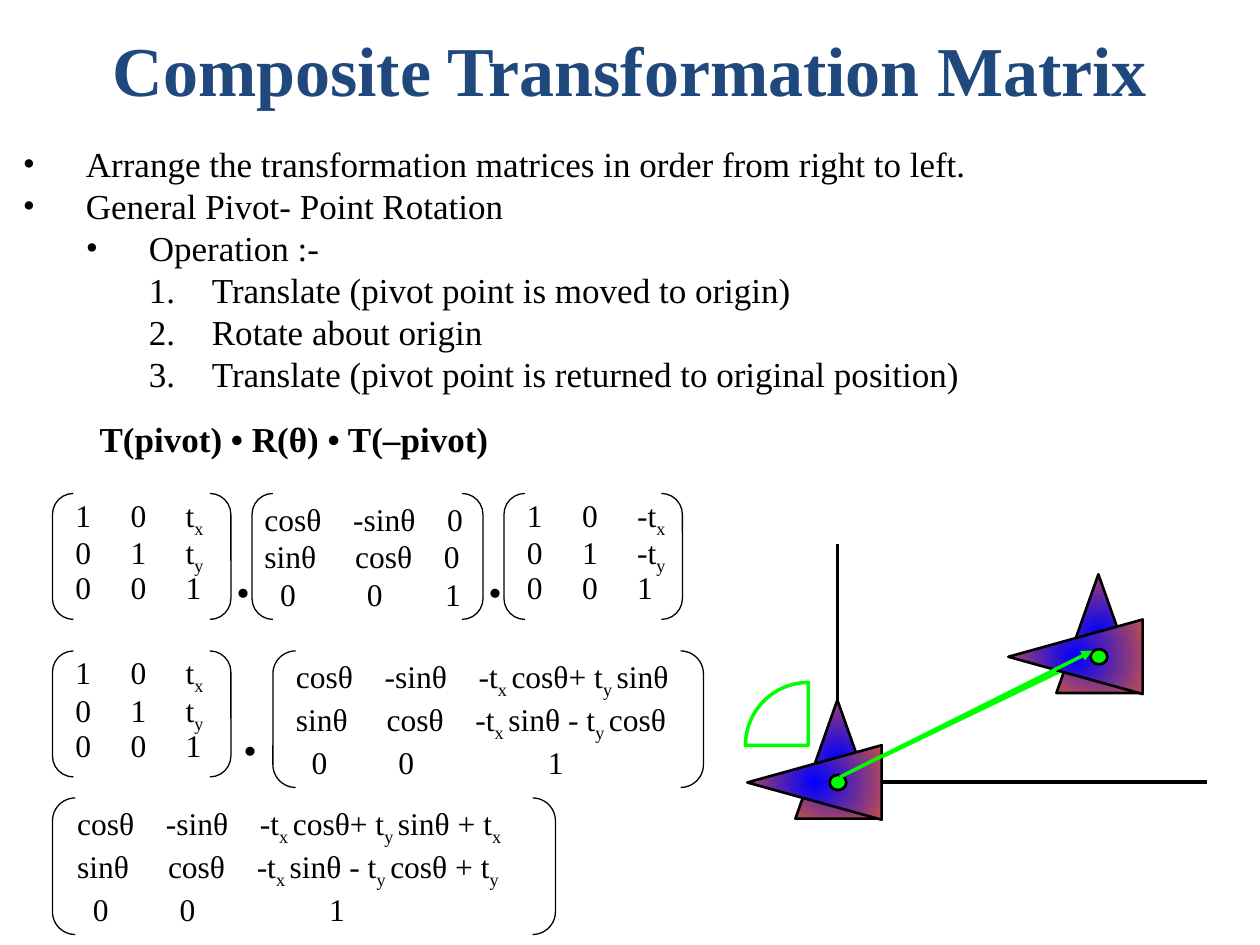
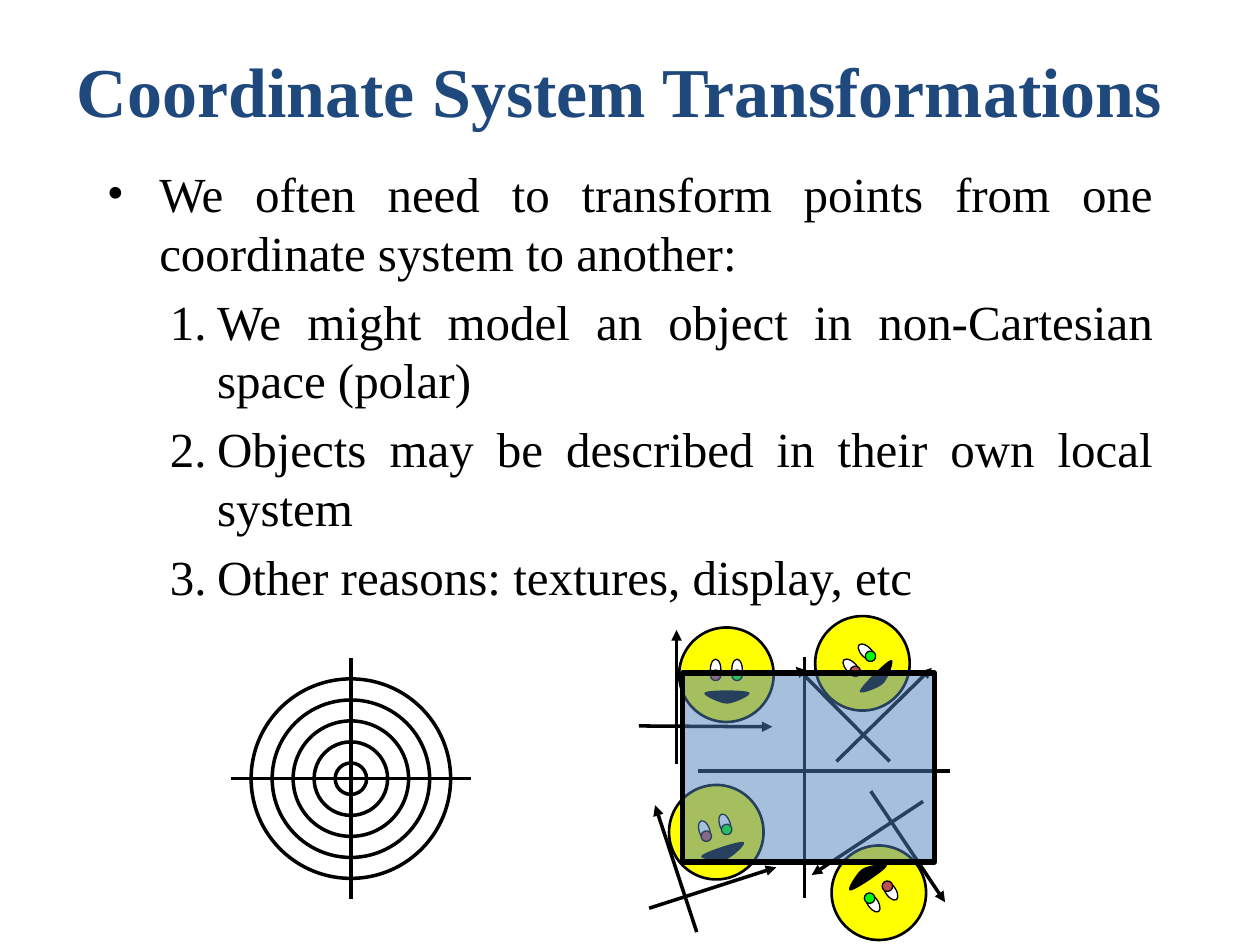
from dataclasses import dataclass
from math import cos, radians, sin
from typing import Iterable, NamedTuple, Optional

from lxml.etree import SubElement
from pptx import Presentation
from pptx.dml.color import RGBColor
from pptx.enum.shapes import MSO_CONNECTOR as Connector, MSO_SHAPE as Preset
from pptx.enum.text import MSO_ANCHOR as Anchor, PP_ALIGN as Align
from pptx.oxml import parse_xml
from pptx.oxml.ns import nsdecls, qn
from pptx.util import Emu, Pt

# The slide is a grid of 120 columns by 90 rows; every length counts cells.
COLUMNS, ROWS, CELL = 120, 90, 76200
FONT = "Times New Roman"
BLACK, WHITE, NAVY, BLUE = "000000", "FFFFFF", "1F497D", "4F81BD"
PURE_BLUE, RED, GREEN, YELLOW = "0000FF", "C0504D", "00FF00", "FFFF00"


class Point(NamedTuple):
    x: float
    y: float

    def turned(self, offset: "Point", degrees: float) -> "Point":
        """Return the point at an offset from this one, turned around it."""
        c, s = cos(radians(degrees)), sin(radians(degrees))
        return Point(self.x + offset.x * c - offset.y * s,
                     self.y + offset.x * s + offset.y * c)


class Box(NamedTuple):
    left: float
    top: float
    width: float
    height: float

    @classmethod
    def around(cls, center: Point, width: float, height: float) -> "Box":
        return cls(center.x - width / 2, center.y - height / 2, width, height)


@dataclass(frozen=True)
class BodyLine:
    text: str
    level: int
    margin: float
    hang: float
    numbered: bool = False


@dataclass(frozen=True)
class Matrix:
    bracket: Box
    inset: Point
    rows: tuple
    stops: tuple
    tight: bool = False


@dataclass(frozen=True)
class PivotTriangle:
    width: float
    height: float
    offset: Point
    rotation: float


@dataclass(frozen=True)
class Face:
    center: Point
    rotation: float


class FacePart(NamedTuple):
    offset: Point
    width: float
    height: float
    color: str
    line_width: float = 0.75


def cells(count: float) -> Emu:
    return Emu(round(count * CELL))


def rgb(color: str) -> RGBColor:
    return RGBColor.from_string(color)


def style(shape, fill: Optional[str], line: str, width: float, rotation: float = 0):
    shape.shadow.inherit = False
    shape.rotation = rotation
    if fill:
        shape.fill.solid()
        shape.fill.fore_color.rgb = rgb(fill)
    else:
        shape.fill.background()
    shape.line.color.rgb = rgb(line)
    shape.line.width = Pt(width)
    return shape


def add_preset(slide, preset, box: Box, fill: Optional[str] = None, line: str = BLACK,
               width: float = 2, rotation: float = 0):
    shape = slide.shapes.add_shape(preset, *map(cells, box))
    return style(shape, fill, line, width, rotation)


def add_line(slide, start: Point, end: Point, color: str = BLACK, arrow: bool = False):
    line = slide.shapes.add_connector(Connector.STRAIGHT, *map(cells, (*start, *end)))
    line.line.color.rgb = rgb(color)
    line.line.width = Pt(2)
    if arrow:
        SubElement(line.line._get_or_add_ln(), qn("a:tailEnd"), type="triangle")
    SubElement(line._element.spPr, qn("a:effectLst"))


def add_frame(slide, box: Box, wrap: bool = True):
    frame = slide.shapes.add_textbox(*map(cells, box)).text_frame
    frame.word_wrap = wrap
    return frame


def next_paragraph(frame, index: int):
    return frame.add_paragraph() if index else frame.paragraphs[0]


def set_font(paragraph, size: float, color: str = BLACK, bold: bool = False):
    font = paragraph.font
    font.name, font.size, font.bold = FONT, Pt(size), bold
    font.color.rgb = rgb(color)


def add_text(slide, box: Box, text: str, size: float, color: str = BLACK, wrap: bool = True):
    """Add one bold paragraph and return its frame."""
    frame = add_frame(slide, box, wrap)
    paragraph = frame.paragraphs[0]
    paragraph.add_run().text = text
    set_font(paragraph, size, color, bold=True)
    return frame


def add_title(slide, box: Box, text: str):
    frame = add_text(slide, box, text, 40, NAVY)
    frame.vertical_anchor = Anchor.MIDDLE
    frame.paragraphs[0].alignment = Align.CENTER


def add_body(slide, box: Box, lines: Iterable[BodyLine], size: float,
             alignment=Align.LEFT, gap: float = 0):
    frame = add_frame(slide, box)
    for index, line in enumerate(lines):
        paragraph = next_paragraph(frame, index)
        paragraph.add_run().text = line.text
        paragraph.level = line.level
        paragraph.alignment = alignment
        properties = paragraph._p.get_or_add_pPr()
        properties.set("marL", str(cells(line.margin)))
        properties.set("indent", str(cells(-line.hang)))
        if line.numbered:
            SubElement(properties, qn("a:buAutoNum"), type="arabicPeriod")
        else:
            SubElement(properties, qn("a:buFont"), typeface=FONT)
            SubElement(properties, qn("a:buChar"), char="•")
        if index and gap:
            paragraph.space_before = Pt(gap)
        set_font(paragraph, size)


def add_matrix(slide, matrix: Matrix):
    """Draw brackets and rows; text between bars is subscript."""
    box = matrix.bracket
    add_preset(slide, Preset.DOUBLE_BRACKET, box, width=0.75)
    frame = add_frame(slide, Box(box.left + matrix.inset.x, box.top + matrix.inset.y,
                                 box.width - matrix.inset.x, 12 - 2 * matrix.inset.y), wrap=False)
    for index, (row, stops) in enumerate(zip(matrix.rows, matrix.stops)):
        paragraph = next_paragraph(frame, index)
        for position, piece in enumerate(row.split("|")):
            if piece:
                run = paragraph.add_run()
                run.text = piece
                if position % 2:
                    run.font._element.set("baseline", "-25000")
        tabs = SubElement(paragraph._p.get_or_add_pPr(), qn("a:tabLst"))
        for stop in stops:
            SubElement(tabs, qn("a:tab"), pos=str(cells(stop)), algn="l")
        if matrix.tight:
            paragraph.line_spacing = 0.5
            if index:
                paragraph.space_before = Pt(9)
        set_font(paragraph, 18)


def translation(left: float, top: float, sign: str = "") -> Matrix:
    rows = (f"1\t0\t{sign}t|x|", f"0\t1\t{sign}t|y|", "0\t0\t1")
    return Matrix(Box(left, top, 17, 12), Point(1, 1), rows, ((5.25, 10.5),) * 3, tight=True)


def rotation(bracket: Box, inset: Point, last_column: tuple, unit_stop: float) -> Matrix:
    first, second = last_column
    rows = (f"cosθ\t-sinθ\t{first}", f"sinθ\tcosθ\t{second}", "\t0\t0\t1")
    return Matrix(bracket, inset, rows, ((8.45, 17.4), (8.65, 17.1), (1.5, 9.75, unit_stop)))


def add_pivot_triangle(slide, pivot: Point, triangle: PivotTriangle):
    center = Point(pivot.x + triangle.offset.x, pivot.y + triangle.offset.y)
    shape = add_preset(slide, Preset.ISOSCELES_TRIANGLE,
                       Box.around(center, triangle.width, triangle.height),
                       fill=PURE_BLUE, width=1.5, rotation=triangle.rotation)
    solid = shape._element.spPr.find(qn("a:solidFill"))
    solid.getparent().replace(solid, parse_xml(
        f'<a:gradFill {nsdecls("a")} rotWithShape="1"><a:gsLst>'
        f'<a:gs pos="0"><a:srgbClr val="{PURE_BLUE}"/></a:gs>'
        f'<a:gs pos="100000"><a:srgbClr val="{RED}"/></a:gs></a:gsLst><a:path path="circle">'
        '<a:fillToRect l="50000" t="50000" r="50000" b="50000"/></a:path></a:gradFill>'))
    add_preset(slide, Preset.OVAL, Box.around(pivot, 1.6, 1.45), GREEN, width=1.5)


# Start of the mouth outline, then three points for each of its curves.
MOUTH = ((-2, 1.74), (-2.3, 1.86), (-0.6, 2.7), (0.06, 2.7), (0.72, 2.7), (2.42, 1.86),
         (2.12, 1.74), (1.76, 1.5), (-1.64, 1.5), (-2, 1.74))
MOUTH_CENTER = Point(0.06, 2.1)
EYES = (FacePart(Point(-1.02, -0.48), 1, 2, WHITE), FacePart(Point(1.02, -0.48), 1, 2, WHITE),
        FacePart(Point(-1.02, 0.06), 1, 1, RED), FacePart(Point(1.02, 0.06), 1, 1, GREEN))
HEAD = FacePart(Point(0, 0), 9, 9, YELLOW, 1.5)
FACE_AXES = ((Point(-4.74, 8.46), Point(-4.74, -4.26)), (Point(-8.34, 4.88), Point(4.38, 4.96)))
FACES = (Face(Point(82.14, 63.18), 315.2), Face(Point(68.22, 79.26), 341.8),
         Face(Point(83.7, 85.02), 146.2), Face(Point(69.18, 64.26), 0))


def add_mouth(slide, center: Point, degrees: float):
    start, *others = [(cells(center.x + x - MOUTH_CENTER.x), cells(center.y + y - MOUTH_CENTER.y))
                      for x, y in MOUTH]
    builder = slide.shapes.build_freeform(*start)
    builder.add_line_segments(others, close=True)
    shape = style(builder.convert_to_shape(), BLACK, BLACK, 0.75, degrees)
    outline = shape._element.spPr.find(".//" + qn("a:path"))
    segments = outline.findall(qn("a:lnTo"))
    for first, *controls in zip(segments[::3], segments[1::3], segments[2::3]):
        first.tag = qn("a:cubicBezTo")
        for control in controls:
            first.append(control[0])
            outline.remove(control)


def add_face(slide, face: Face):
    """Draw a face with its local axes, all turned together."""
    def local(offset: Point) -> Point:
        return face.center.turned(offset, face.rotation)

    def add_part(part: FacePart):
        add_preset(slide, Preset.OVAL, Box.around(local(part.offset), part.width, part.height),
                   part.color, width=part.line_width, rotation=face.rotation)

    for start, end in FACE_AXES:
        add_line(slide, local(start), local(end), arrow=True)
    add_part(HEAD)
    add_mouth(slide, local(MOUTH_CENTER), face.rotation)
    for part in EYES:
        add_part(part)


def build_matrix_slide(slide):
    add_title(slide, Box(9, -1, 102, 15), "Composite Transformation Matrix")
    steps = ("Translate (pivot point is moved to origin)", "Rotate about origin",
             "Translate (pivot point is returned to original position)")
    add_body(slide, Box(1, 13, 113, 25.4), [
        BodyLine("Arrange the transformation matrices in order from right to left.", 0, 6, 6),
        BodyLine("General Pivot- Point Rotation", 0, 6, 6),
        BodyLine("Operation :-", 1, 12, 6),
        *(BodyLine(step, 2, 18, 6, numbered=True) for step in steps)], 20)
    add_text(slide, Box(8.3, 39.17, 65.9, 5.2), "T(pivot) • R(θ) • T(–pivot)", 20)

    composite = ("-t|x |cosθ+ t|y |sinθ", "-t|x |sinθ - t|y |cosθ")
    moved_back = (f"{composite[0]} + t|x|", f"{composite[1]} + t|y|")
    for matrix in (translation(48, 47, "-"),
                   rotation(Box(24, 47, 22, 12), Point(0, 0), ("0", "0"), 17.2),
                   translation(5, 47),
                   rotation(Box(5, 76, 47.9, 13), Point(1.17, 0), moved_back, 24),
                   rotation(Box(26, 62, 41, 13), Point(1, 0), composite, 24),
                   translation(5, 62)):
        add_matrix(slide, matrix)
    for left, top in ((21.3, 51), (45.3, 51), (22, 66)):
        add_text(slide, Box(left, top, 4.7, 7.6), ".", 32, wrap=False)

    origin, target = Point(79.8, 74.52), Point(104.66, 62.55)
    add_line(slide, Point(79.75, 51.84), Point(79.75, 74.5))
    add_line(slide, Point(79.75, 74.5), Point(115, 74.5))
    upright = PivotTriangle(8, 11.3, Point(-0.05, -2.2), 0)
    turned = PivotTriangle(7.1, 12.8, Point(-2.23, 0), 270)
    for pivot in (target, origin):
        add_pivot_triangle(slide, pivot, upright)
    add_line(slide, Point(105, 62), Point(80, 74), GREEN, arrow=True)
    for pivot in (origin, target):
        add_pivot_triangle(slide, pivot, turned)
    add_preset(slide, Preset.PIE_WEDGE, Box(71, 65, 6, 6), line=GREEN)
    add_line(slide, Point(80, 74), Point(104, 62), GREEN, arrow=True)


def add_cross(slide, across: Point, down: Point, half: float):
    """Draw a level line around one point and an upright line around another."""
    add_line(slide, Point(down.x, down.y - 11.46), Point(down.x, down.y + 11.46))
    add_line(slide, Point(across.x - half, across.y), Point(across.x + half, across.y))


def build_coordinates_slide(slide):
    add_title(slide, Box(3, 4, 112, 9), "Coordinate System Transformations")
    reasons = ("We might model an object in non-Cartesian space (polar)",
               "Objects may be described in their own local system",
               "Other reasons: textures, display, etc")
    add_body(slide, Box(9, 15, 102, 24), [
        BodyLine("We often need to transform points from one coordinate system to another:", 0, 5, 5),
        *(BodyLine(reason, 1, 10.5, 4.5, numbered=True) for reason in reasons)],
        28, Align.JUSTIFY, 5.6)
    add_cross(slide, Point(78.5, 73.45), Point(76.6, 74.05), 12)
    polar_center = Point(33.42, 74.16)
    for diameter in range(19, 0, -4):
        add_preset(slide, Preset.OVAL, Box.around(polar_center, diameter, diameter))
    add_cross(slide, polar_center, polar_center, 11.46)
    for face in FACES:
        add_face(slide, face)
    window = add_preset(slide, Preset.RECTANGLE, Box(65, 64.1, 24, 18), BLUE, width=3)
    window_color = window._element.spPr.find(qn("a:solidFill"))[0]
    SubElement(window_color, qn("a:alpha"), val="50000")


def main():
    presentation = Presentation()
    presentation.slide_width, presentation.slide_height = cells(COLUMNS), cells(ROWS)
    for build in (build_matrix_slide, build_coordinates_slide):
        build(presentation.slides.add_slide(presentation.slide_layouts[6]))
    presentation.save("out.pptx")


if __name__ == "__main__":
    main()
